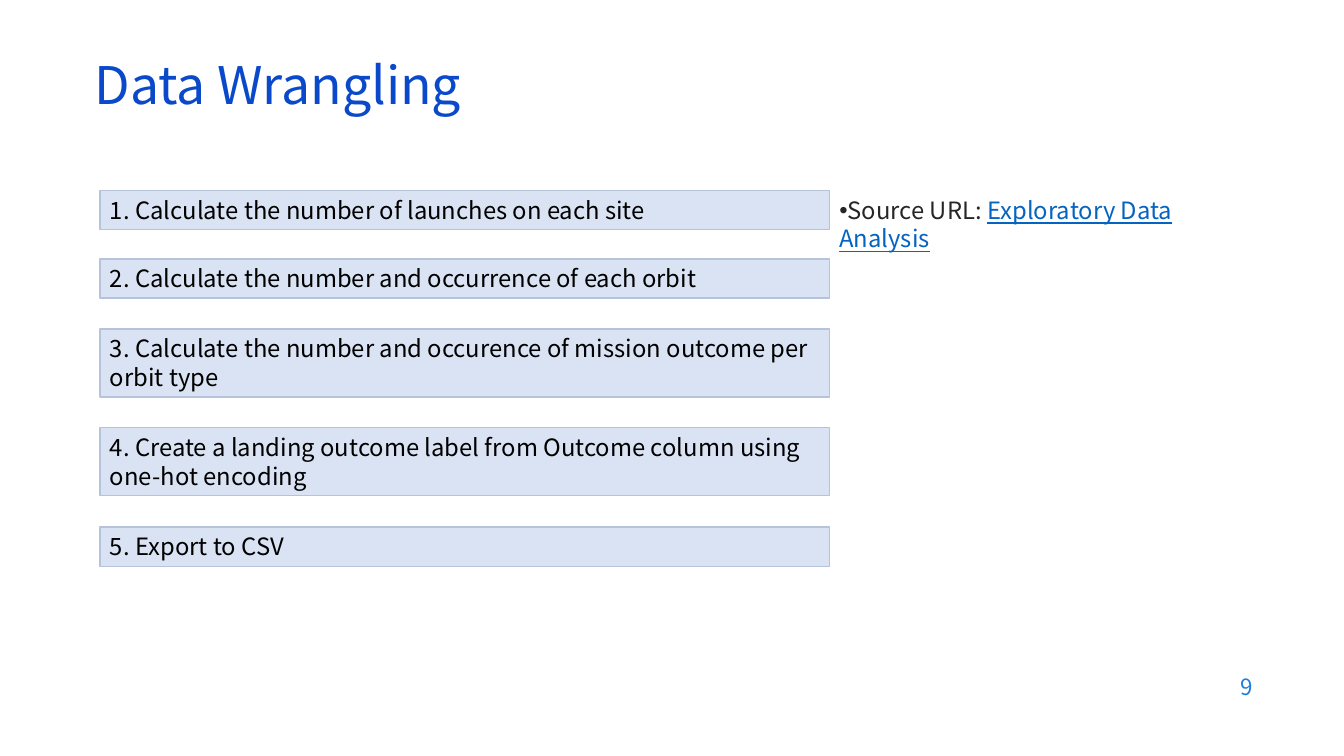
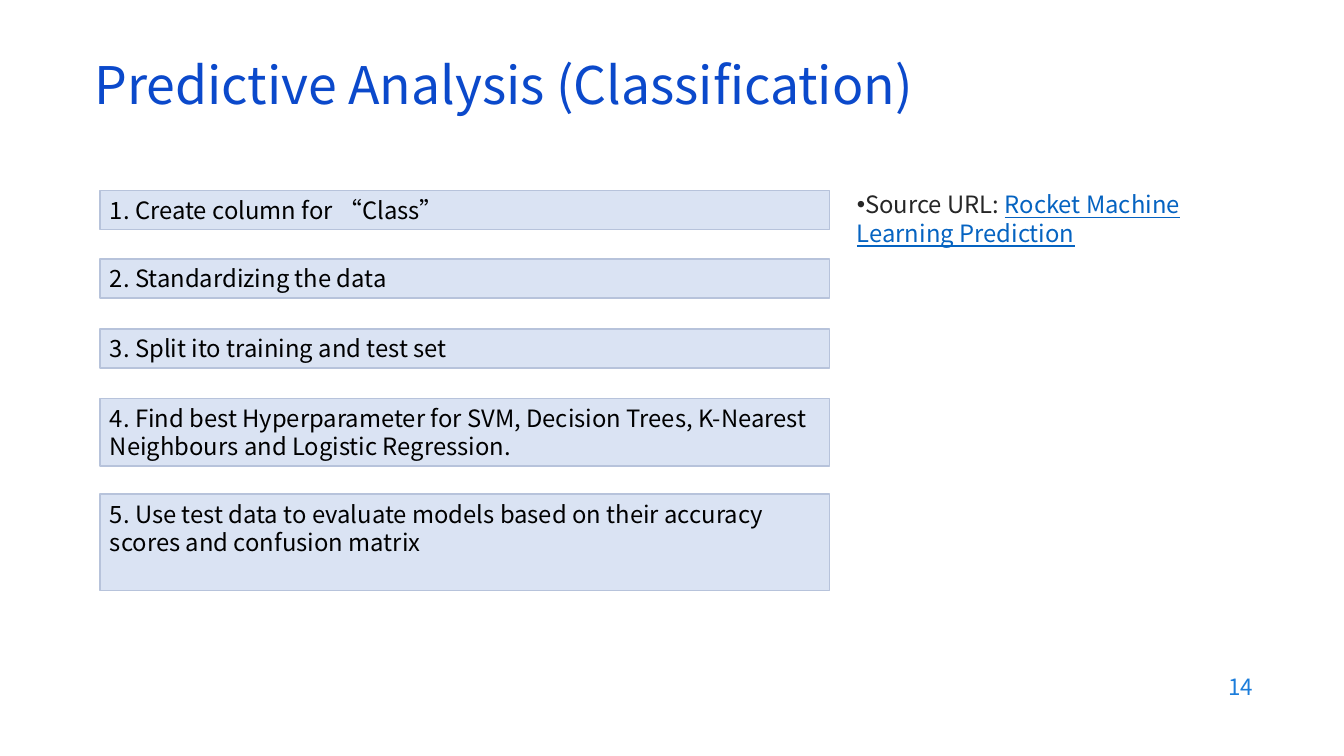
from dataclasses import dataclass
from lxml import etree
from pptx import Presentation
from pptx.dml.color import RGBColor as RGB
from pptx.enum.shapes import MSO_SHAPE as Shape
from pptx.enum.text import MSO_ANCHOR as Anchor, PP_ALIGN as Align
from pptx.oxml.ns import qn
from pptx.util import Pt


@dataclass(frozen=True)
class Theme:
    font: str = "Noto Sans CJK TC"
    head: str = "0B49CB"
    page: str = "1C7DDB"
    ink: str = "000000"
    note: str = "262626"
    link: str = "0563C1"
    fill: str = "DAE3F3"
    edge: str = "B7C3DB"
    head_size: float = 37
    body_size: float = 17
    page_size: float = 16
    lead: float = 20.5


theme = Theme()


def add_run(para, text, size, color, under=None):
    run = para.add_run()
    run.text = text
    font = run.font
    font.name, font.size, font.underline = theme.font, Pt(size), under
    font.color.rgb = RGB.from_string(color)


def set_frame(shape, anchor):
    frame = shape.text_frame
    frame.word_wrap = True
    frame.vertical_anchor = anchor
    frame.margin_left = frame.margin_right = Pt(7.2)
    frame.margin_top = frame.margin_bottom = Pt(3.6)
    para = frame.paragraphs[0]
    para.alignment = Align.LEFT
    return para


# Content: each step has its text, top and number of lines
slides = [
    dict(
        title="Data Wrangling",
        page="9",
        note=(592.5, 136),
        link="Exploratory Data Analysis",
        steps=[
            ("1. Calculate the number of launches on each site", 136, 1),
            ("2. Calculate the number and occurrence of each orbit", 185, 1),
            ("3. Calculate the number and occurence of mission outcome "
             "per orbit type", 235, 2),
            ("4. Create a landing outcome label from Outcome column using "
             "one-hot encoding", 305.5, 2),
            ("5. Export to CSV", 376.5, 1),
        ],
    ),
    dict(
        title="Predictive Analysis (Classification)",
        page="14",
        note=(605, 132),
        link="Rocket Machine Learning Prediction",
        steps=[
            ("1. Create column for “Class”", 136, 1),
            ("2. Standardizing the data", 185, 1),
            ("3. Split ito training and test set", 235, 1),
            ("4. Find best Hyperparameter for SVM, Decision Trees, "
             "K-Nearest Neighbours and Logistic Regression.", 284.5, 2),
            ("5. Use test data to evaluate models based on their accuracy "
             "scores and confusion matrix", 353, 3),
        ],
    ),
]

deck = Presentation()
deck.slide_width, deck.slide_height = Pt(960), Pt(540)

for item in slides:
    slide = deck.slides.add_slide(deck.slide_layouts[6])
    shapes = slide.shapes

    # Title
    box = shapes.add_textbox(Pt(60.5), Pt(42.5), Pt(828), Pt(43))
    para = set_frame(box, Anchor.MIDDLE)
    para.line_spacing = 0.8
    add_run(para, item["title"], theme.head_size, theme.head)

    # Steps
    for text, top, lines in item["steps"]:
        high = 7.5 + theme.lead * lines
        box = shapes.add_shape(
            Shape.RECTANGLE, Pt(71.5), Pt(top), Pt(521), Pt(high))
        box.shadow.inherit = False
        box.fill.solid()
        box.fill.fore_color.rgb = RGB.from_string(theme.fill)
        box.line.color.rgb = RGB.from_string(theme.edge)
        box.line.width = Pt(1)
        para = set_frame(box, Anchor.TOP)
        para.line_spacing = Pt(theme.lead)
        add_run(para, text, theme.body_size, theme.ink)

    # Source note
    left, top = item["note"]
    box = shapes.add_textbox(Pt(left), Pt(top), Pt(296), Pt(343))
    para = set_frame(box, Anchor.TOP)
    para.line_spacing = Pt(theme.lead)
    props = para._p.get_or_add_pPr()
    props.set("marL", "0")
    props.set("indent", "0")
    face = etree.SubElement(props, qn("a:buFont"))
    face.set("typeface", "Arial")
    etree.SubElement(props, qn("a:buChar")).set("char", "•")
    add_run(para, "Source URL: ", theme.body_size, theme.note)
    add_run(para, item["link"], theme.body_size, theme.link, True)

    # Page number
    box = shapes.add_textbox(Pt(686), Pt(474.5), Pt(216), Pt(31.5))
    para = set_frame(box, Anchor.MIDDLE)
    para.alignment = Align.RIGHT
    add_run(para, item["page"], theme.page_size, theme.page)

deck.save("out.pptx")
